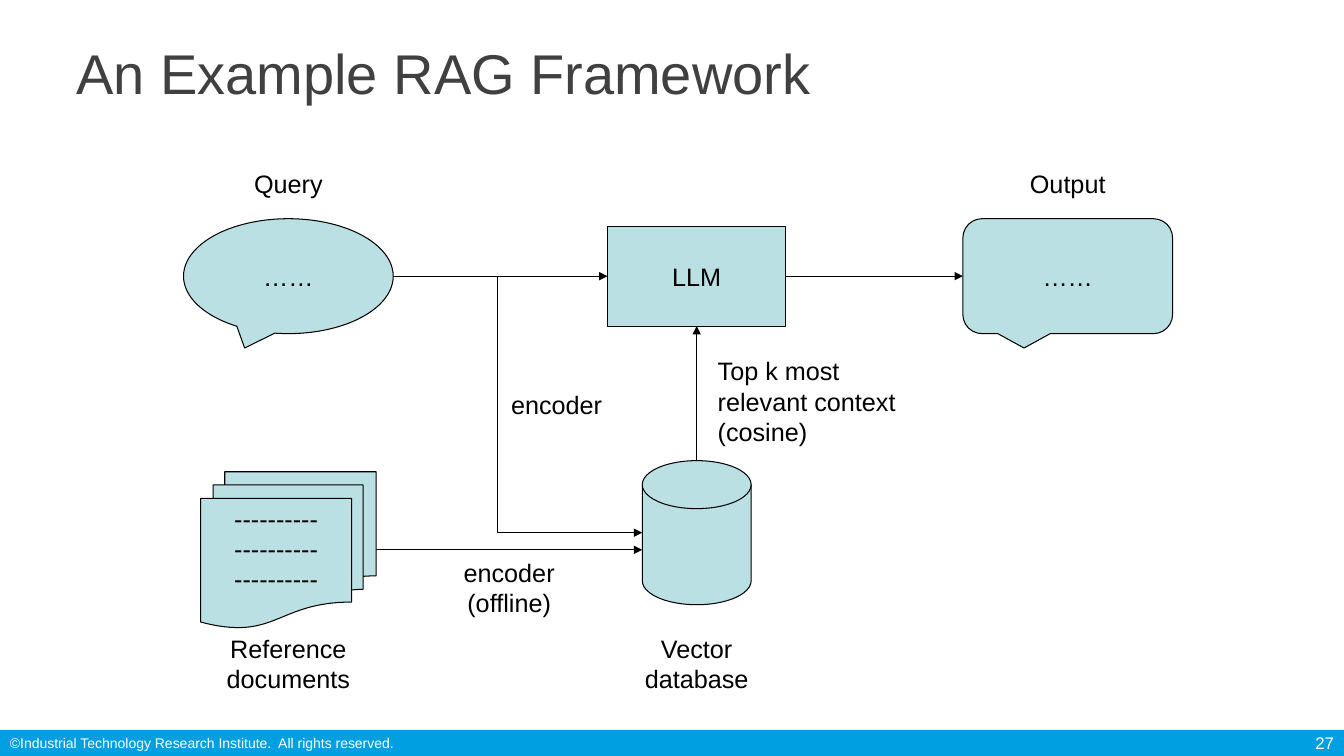
"""Build the slide that shows an example RAG framework."""
import pptx
import pptx.util
import pptx.dml.color
import pptx.enum.shapes
import pptx.enum.text
import pptx.oxml
import pptx.oxml.ns
from lxml import etree

RGB = pptx.dml.color.RGBColor
KIND = pptx.enum.shapes.MSO_SHAPE
LINK = pptx.enum.shapes.MSO_CONNECTOR
ALIGN = pptx.enum.text.PP_ALIGN
ANCHOR = pptx.enum.text.MSO_ANCHOR
inch = pptx.util.Inches

BLACK = RGB(0x00, 0x00, 0x00)
WHITE = RGB(0xFF, 0xFF, 0xFF)
GRAY = RGB(0x40, 0x40, 0x40)
TEAL = RGB(0xBB, 0xE0, 0xE3)
BLUE = RGB(0x00, 0x9F, 0xE2)
FONT = "Arial"
WIDE, HIGH = 13.33, 7.5
FOOT = 0.26

COLS = {"query": 2.86, "model": 6.91, "output": 10.59}
ROWS = {"head": 1.82, "flow": 2.74, "store": 5.285, "foot": 6.585}
BUBBLE = (2.08, 1.14)

NODES = {
    "disk": (KIND.FLOWCHART_MAGNETIC_DISK, "model", "store", (1.08, 1.43), []),
    "query": (KIND.OVAL_CALLOUT, "query", "flow", BUBBLE, ["……"]),
    "docs": (KIND.FLOWCHART_MULTIDOCUMENT, "query", "store", (1.74, 1.55),
             ["----------"] * 3),
    "model": (KIND.FLOWCHART_PROCESS, "model", "flow", (1.77, 0.99), ["LLM"]),
    "output": (KIND.ROUNDED_RECTANGULAR_CALLOUT, "output", "flow", BUBBLE,
               ["……"]),
}
SHIFT = {"docs": (0, 0.17)}

HEADS = [
    ("query", "head", (1.21, 0.4), ["Query"]),
    ("output", "head", (1.21, 0.4), ["Output"]),
    ("query", "foot", (2, 0.71), ["Reference documents"]),
    ("model", "foot", (2, 0.71), ["Vector database"]),
]
NOTES = [
    ((4.97, 3.81, 1.21, 0.4), ["encoder"], ALIGN.LEFT),
    ((4.36, 5.48, 1.38, 0.71), ["encoder", "(offline)"], ALIGN.CENTER),
    ((7.02, 3.48, 2.16, 1.01), ["Top k most relevant context (cosine)"],
     ALIGN.LEFT),
]
TITLE = "An Example RAG Framework"
RIGHTS = "©Industrial Technology Research Institute.  All rights reserved."
PAGE = "27"


def write(shape, lines, size=18, color=BLACK, align=ALIGN.CENTER,
          anchor=ANCHOR.TOP):
    frame = shape.text_frame
    frame.word_wrap = True
    frame.vertical_anchor = anchor
    for i, line in enumerate(lines):
        para = frame.add_paragraph() if i else frame.paragraphs[0]
        para.alignment = align
        run = para.add_run()
        run.text = line
        run.font.name = FONT
        run.font.size = pptx.util.Pt(size)
        run.font.color.rgb = color


def label(slide, box, lines, **style):
    write(slide.shapes.add_textbox(*map(inch, box)), lines, **style)


def center(col, row, size, shift=(0, 0)):
    w, h = size
    return (COLS[col] + shift[0] - w / 2, ROWS[row] + shift[1] - h / 2, w, h)


def block(slide, kind, box, fill, line=None):
    shape = slide.shapes.add_shape(kind, *map(inch, box))
    shape.shadow.inherit = False
    shape.fill.solid()
    shape.fill.fore_color.rgb = fill
    if line is None:
        shape.line.fill.background()
    else:
        shape.line.color.rgb = line
        shape.line.width = pptx.util.Pt(0.75)
    return shape


def arrow(slide, start, end, bend=None):
    kind = LINK.ELBOW if bend else LINK.STRAIGHT
    link = slide.shapes.add_connector(kind, *map(inch, start + end))
    link.line.color.rgb = BLACK
    link.line.width = pptx.util.Pt(0.75)
    qn = pptx.oxml.ns.qn
    props = link._element.spPr
    etree.SubElement(props.find(qn("a:ln")), qn("a:tailEnd"), type="triangle")
    etree.SubElement(props, qn("a:effectLst"))
    if bend:
        geom = props.find(qn("a:prstGeom"))
        guides = geom.find(qn("a:avLst"))
        if guides is None:
            guides = etree.SubElement(geom, qn("a:avLst"))
        etree.SubElement(guides, qn("a:gd"), name="adj1",
                         fmla=f"val {round(bend * 100000)}")


def main():
    deck = pptx.Presentation()
    deck.slide_width, deck.slide_height = inch(WIDE), inch(HIGH)
    slide = deck.slides.add_slide(deck.slide_layouts[6])

    top = HIGH - FOOT
    block(slide, KIND.RECTANGLE, (0, top, WIDE, FOOT), BLUE)
    label(slide, (0, top, 11.02, FOOT), [RIGHTS], size=10, color=WHITE,
          align=ALIGN.LEFT)
    label(slide, (0.66, 0.33, 12.2, 0.99), [TITLE], size=40, color=GRAY,
          align=ALIGN.LEFT)
    label(slide, (WIDE - 0.83, top, 0.83, FOOT), [PAGE], size=12, color=WHITE,
          align=ALIGN.RIGHT, anchor=ANCHOR.MIDDLE)

    left, right, roof, base = {}, {}, {}, {}
    for name, (kind, col, row, size, lines) in NODES.items():
        x, y, w, h = box = center(col, row, size, SHIFT.get(name, (0, 0)))
        left[name], right[name] = x, x + w
        roof[name], base[name] = y, y + h
        anchor = ANCHOR.TOP if name == "docs" else ANCHOR.MIDDLE
        write(block(slide, kind, box, TEAL, BLACK), lines, anchor=anchor)

    flow, store, mid = ROWS["flow"], ROWS["store"], COLS["model"]
    feed = store + SHIFT["docs"][1]
    arrow(slide, (right["query"], flow), (left["model"], flow))
    arrow(slide, (right["query"], flow), (left["disk"], store), bend=0.418)
    arrow(slide, (right["model"], flow), (left["output"], flow))
    arrow(slide, (right["docs"], feed), (left["disk"], feed))
    arrow(slide, (mid, roof["disk"]), (mid, base["model"]))

    for col, row, size, lines in HEADS:
        label(slide, center(col, row, size), lines)
    for box, lines, align in NOTES:
        label(slide, box, lines, align=align)
    deck.save("out.pptx")


if __name__ == "__main__":
    main()
